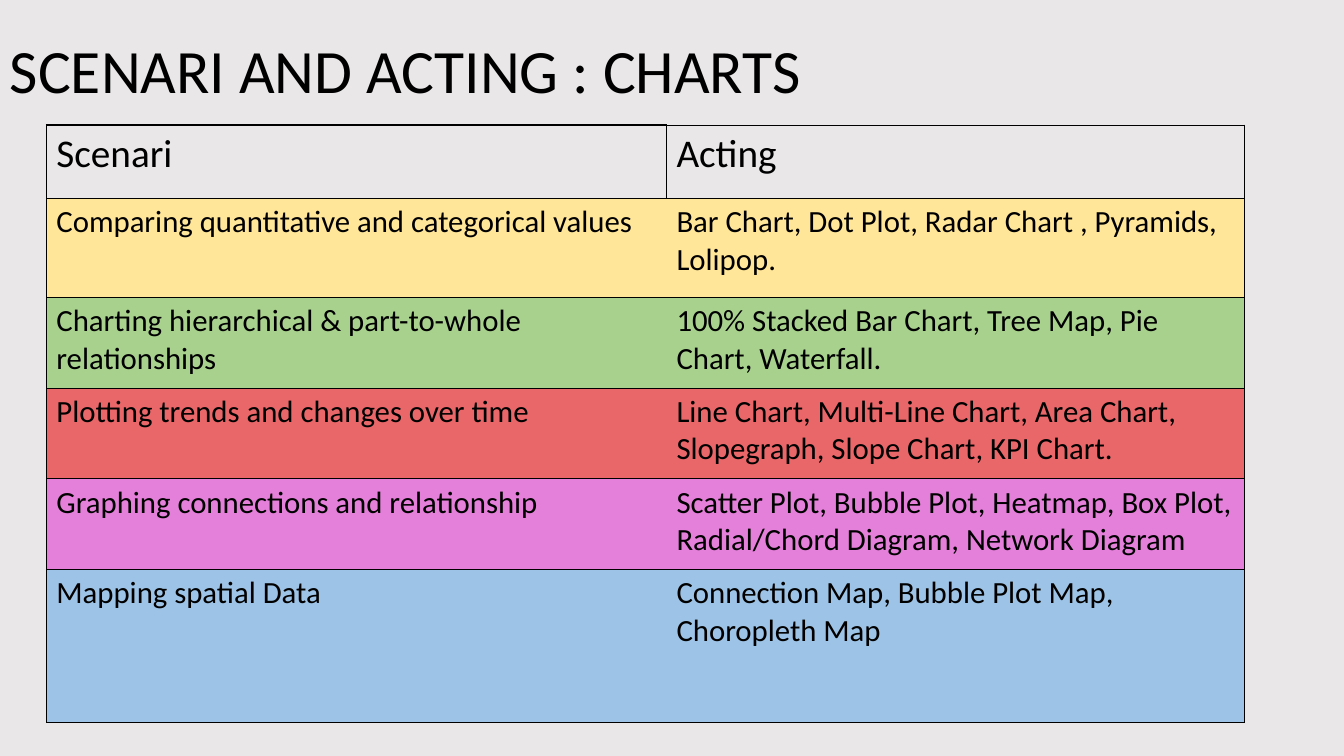
import pptx
import pptx.util
import pptx.dml.color
import pptx.enum.text
import lxml.etree
import pptx.oxml.ns

Inches = pptx.util.Inches
Pt = pptx.util.Pt
RGBColor = pptx.dml.color.RGBColor
qn = pptx.oxml.ns.qn

BLACK = RGBColor(0x00, 0x00, 0x00)
GREY = RGBColor(0xE9, 0xE7, 0xE7)
YELLOW = RGBColor(0xFF, 0xE6, 0x99)
GREEN = RGBColor(0xA9, 0xD1, 0x8E)
RED = RGBColor(0xE9, 0x66, 0x69)
PINK = RGBColor(0xE5, 0x80, 0xDA)
BLUE = RGBColor(0x9D, 0xC3, 0xE6)

COLS = [6.15, 5.73]
ROWS = [
    (0.73, None, "Scenari", "Acting"),
    (0.98, YELLOW, "Comparing quantitative and categorical values",
     "Bar Chart, Dot Plot, Radar Chart , Pyramids, Lolipop."),
    (0.9, GREEN, "Charting hierarchical & part-to-whole relationships",
     "100% Stacked Bar Chart, Tree Map, Pie Chart, Waterfall."),
    (0.9, RED, "Plotting trends and changes over time",
     "Line Chart, Multi-Line Chart, Area Chart, Slopegraph, Slope Chart, KPI Chart."),
    (0.9, PINK, "Graphing connections and relationship",
     "Scatter Plot, Bubble Plot, Heatmap, Box Plot, Radial/Chord Diagram, Network Diagram"),
    (1.52, BLUE, "Mapping spatial Data",
     "Connection Map, Bubble Plot Map, Choropleth Map"),
]


def style_text(p, size):
    p.font.name = "Calibri"
    p.font.size = Pt(size)
    p.font.bold = False
    p.font.color.rgb = BLACK


def set_borders(cell, widths):
    tcPr = cell._tc.get_or_add_tcPr()
    for i, (side, width) in enumerate(widths.items()):
        ln = lxml.etree.Element(qn(f"a:ln{side}"), w=str(Pt(width)))
        if width:
            fill = lxml.etree.SubElement(ln, qn("a:solidFill"))
            lxml.etree.SubElement(fill, qn("a:srgbClr"), val=str(BLACK))
        else:
            lxml.etree.SubElement(ln, qn("a:noFill"))
        tcPr.insert(i, ln)


prs = pptx.Presentation()
prs.slide_width = Inches(13.33)
prs.slide_height = Inches(7.5)
s = prs.slides.add_slide(prs.slide_layouts[6])
s.background.fill.solid()
s.background.fill.fore_color.rgb = GREY

title = s.shapes.add_textbox(0, 0, Inches(11.5), Inches(1.45))
tf = title.text_frame
tf.word_wrap = True
tf.vertical_anchor = pptx.enum.text.MSO_ANCHOR.MIDDLE
p = tf.paragraphs[0]
p.text = "SCENARI AND ACTING : CHARTS"
p.line_spacing = 0.9
style_text(p, 44)

table = s.shapes.add_table(
    len(ROWS), len(COLS), Inches(0.46), Inches(1.24),
    Inches(sum(COLS)), Inches(sum(row[0] for row in ROWS))).table
table.first_row = False
table.horz_banding = False
for c, width in enumerate(COLS):
    table.columns[c].width = Inches(width)

for r, (height, color, *texts) in enumerate(ROWS):
    table.rows[r].height = Inches(height)
    for c, text in enumerate(texts):
        cell = table.cell(r, c)
        p = cell.text_frame.paragraphs[0]
        p.text = text
        style_text(p, 22 if r else 28)
        if color:
            cell.fill.solid()
            cell.fill.fore_color.rgb = color
        else:
            cell.fill.background()
        header = 1 if r == 0 and c == 0 else 0.5
        inner = 0 if r else 1
        set_borders(cell, {
            "L": inner if c else header,
            "R": 0.5 if c else inner,
            "T": 1 if r == 1 and c == 0 else header,
            "B": header,
        })

prs.save("out.pptx")
